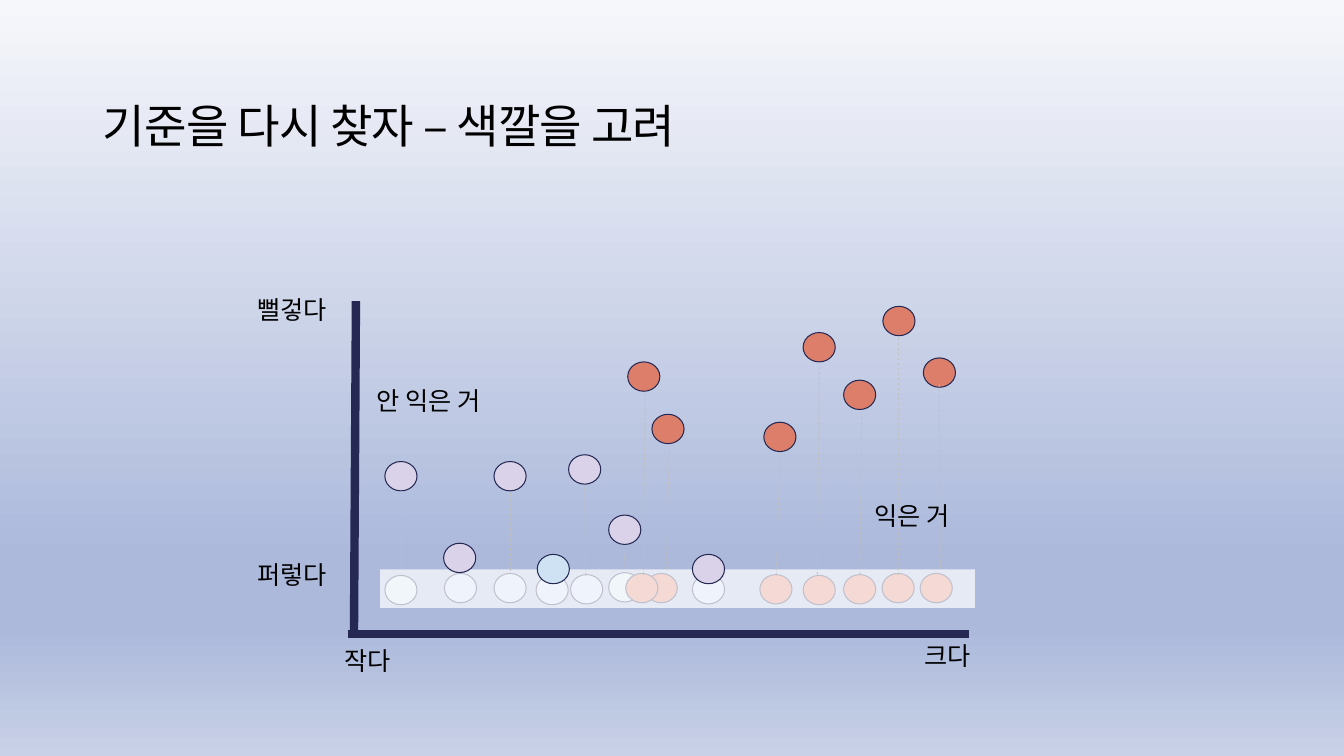
from typing import NamedTuple

import pptx
import pptx.dml.color
import pptx.enum.dml
import pptx.enum.shapes
import pptx.enum.text
import pptx.oxml
import pptx.oxml.ns
import pptx.util

Cm = pptx.util.Cm
Pt = pptx.util.Pt
qn = pptx.oxml.ns.qn
SHAPE = pptx.enum.shapes.MSO_SHAPE
ALIGN = pptx.enum.text.PP_ALIGN

FONT = "Calibri"
NAVY, BLACK, GREY = "242852", "000000", "BFBFBF"
RED, LILAC, BLUE, PALE = "DD7E6B", "D9D2E9", "C9DAF8", "CFE2F3"
DOT_W, DOT_H = 0.81, 0.74
BACKGROUND = [(0, "F6F7FB"), (74, "ACB9DB"), (83, "ACB9DB"), (100, "C8D1E7")]


class Dot(NamedTuple):
    x: float
    y: float
    fill: str


class Label(NamedTuple):
    x: float
    y: float
    w: float
    text: str
    align: pptx.enum.text.PP_ALIGN = ALIGN.LEFT


class Line(NamedTuple):
    x1: float
    y1: float
    x2: float
    y2: float


SIZE_ONLY_DOTS = [
    Dot(21.26, 14.48, RED), Dot(11.2, 14.45, BLUE), Dot(14.38, 14.48, BLUE),
    Dot(17.45, 14.48, BLUE), Dot(19.15, 14.48, RED), Dot(15.34, 14.43, PALE),
    Dot(22.23, 14.45, RED), Dot(23.19, 14.45, RED), Dot(12.45, 14.45, BLUE),
    Dot(9.7, 14.5, PALE), Dot(16.26, 14.45, RED), Dot(20.24, 14.5, RED),
    Dot(13.51, 14.5, BLUE), Dot(15.77, 14.45, RED),
]
COLOUR_DOTS = [
    Dot(21.26, 9.58, RED), Dot(11.18, 13.69, LILAC), Dot(14.33, 11.46, LILAC),
    Dot(17.45, 13.97, LILAC), Dot(19.25, 10.64, RED), Dot(15.34, 12.98, LILAC),
    Dot(22.25, 7.72, RED), Dot(23.27, 9.02, RED), Dot(12.45, 11.63, LILAC),
    Dot(9.7, 11.63, LILAC), Dot(16.43, 10.44, RED), Dot(20.24, 8.38, RED),
    Dot(13.54, 13.97, PALE), Dot(15.82, 9.12, RED),
]
AXES = [Line(8.76, 15.98, 24.41, 15.98), Line(8.97, 7.59, 8.92, 16.05)]
DROP_LINES = [
    Line(23.7, 14.3, 23.67, 9.7), Line(22.63, 14.5, 22.63, 8.51),
    Line(21.67, 14.48, 21.72, 10.36), Line(20.6, 14.48, 20.65, 9.17),
    Line(19.56, 14.5, 19.66, 11.35), Line(16.79, 14.35, 16.87, 11.23),
    Line(16.21, 14.5, 16.26, 9.83), Line(15.75, 14.25, 15.72, 13.84),
    Line(14.76, 14.5, 14.73, 12.22), Line(12.85, 14.38, 12.85, 12.37),
    Line(10.11, 14.33, 10.11, 12.32),
]
LABELS = [
    Label(23.04, 15.88, 2.08, "크다"),
    Label(8.43, 16, 2.08, "작다"),
    Label(9.25, 9.45, 3.78, "안 익은 거"),
    Label(21.79, 12.37, 2.74, "익은 거"),
    Label(5.97, 7.16, 2.79, "뻘겋다", ALIGN.CENTER),
    Label(5.97, 13.84, 2.79, "퍼렇다", ALIGN.CENTER),
]


def rgb(value: str) -> pptx.dml.color.RGBColor:
    return pptx.dml.color.RGBColor.from_string(value)


def set_font(p, size: float) -> None:
    p.font.name = FONT
    p.font.size = Pt(size)
    p.font.color.rgb = rgb(BLACK)


def paint_background(sl) -> None:
    fill = sl.background.fill
    fill.gradient()
    fill.gradient_angle = 270
    stops = sl.element.find(".//" + qn("a:gsLst"))
    for stop in list(stops):
        stops.remove(stop)
    for pos, colour in BACKGROUND:
        gs = stops.makeelement(qn("a:gs"), {"pos": str(pos * 1000)})
        gs.append(gs.makeelement(qn("a:srgbClr"), {"val": colour}))
        stops.append(gs)


def add_title(sl, text: str) -> None:
    sp = sl.shapes.title
    sp.left, sp.top, sp.width, sp.height = Cm(2.34), Cm(2.34), Cm(29.21), Cm(1.8)
    tf = sp.text_frame
    tf.text = text
    tf.auto_size = pptx.enum.text.MSO_AUTO_SIZE.NONE
    tf.vertical_anchor = pptx.enum.text.MSO_ANCHOR.MIDDLE
    p = tf.paragraphs[0]
    p.alignment = ALIGN.LEFT
    p.line_spacing = 0.9
    set_font(p, 33)
    p.runs[0].font._element.set("spc", "-60")


def add_dot(shapes, dot: Dot) -> None:
    sp = shapes.add_shape(SHAPE.FLOWCHART_CONNECTOR, Cm(dot.x), Cm(dot.y),
                          Cm(DOT_W), Cm(DOT_H))
    sp.shadow.inherit = False
    sp.fill.solid()
    sp.fill.fore_color.rgb = rgb(dot.fill)
    sp.line.color.rgb = rgb(NAVY)
    sp.line.width = Pt(0.75)


def add_veil(shapes) -> None:
    sp = shapes.add_shape(SHAPE.RECTANGLE, Cm(9.58), Cm(14.35), Cm(14.99), Cm(0.97))
    sp.shadow.inherit = False
    sp.line.fill.background()
    sp.fill.solid()
    sp.fill.fore_color.rgb = rgb("FFFFFF")
    clr = sp.element.spPr.find(".//" + qn("a:srgbClr"))
    clr.append(clr.makeelement(qn("a:alpha"), {"val": "71000"}))


def add_line(shapes, line: Line, colour: str, width: float, dashed: bool = False) -> None:
    cx = shapes.add_connector(pptx.enum.shapes.MSO_CONNECTOR.STRAIGHT,
                              Cm(line.x1), Cm(line.y1), Cm(line.x2), Cm(line.y2))
    cx.line.color.rgb = rgb(colour)
    cx.line.width = Pt(width)
    if dashed:
        cx.line.dash_style = pptx.enum.dml.MSO_LINE.DASH
    spPr = cx.element.spPr
    spPr.append(spPr.makeelement(qn("a:effectLst"), {}))


def add_label(shapes, label: Label) -> None:
    sp = shapes.add_textbox(Cm(label.x), Cm(label.y), Cm(label.w), Cm(0.99))
    tf = sp.text_frame
    tf.word_wrap = True
    tf.margin_left = tf.margin_right = tf.margin_top = tf.margin_bottom = Cm(0.25)
    p = tf.paragraphs[0]
    p.text = label.text
    p.alignment = label.align
    set_font(p, 18)


def main() -> None:
    prs = pptx.Presentation()
    prs.slide_width, prs.slide_height = Cm(33.87), Cm(19.05)
    sl = prs.slides.add_slide(prs.slide_layouts[5])
    paint_background(sl)
    add_title(sl, "기준을 다시 찾자 – 색깔을 고려")
    group = sl.shapes.add_group_shape()
    for dot in SIZE_ONLY_DOTS:
        add_dot(group.shapes, dot)
    add_veil(sl.shapes)
    for dot in COLOUR_DOTS:
        add_dot(sl.shapes, dot)
    for axis in AXES:
        add_line(sl.shapes, axis, NAVY, 6)
    for label in LABELS:
        add_label(sl.shapes, label)
    for drop in DROP_LINES:
        add_line(sl.shapes, drop, GREY, 0.5, dashed=True)
    prs.save("out.pptx")


if __name__ == "__main__":
    main()
